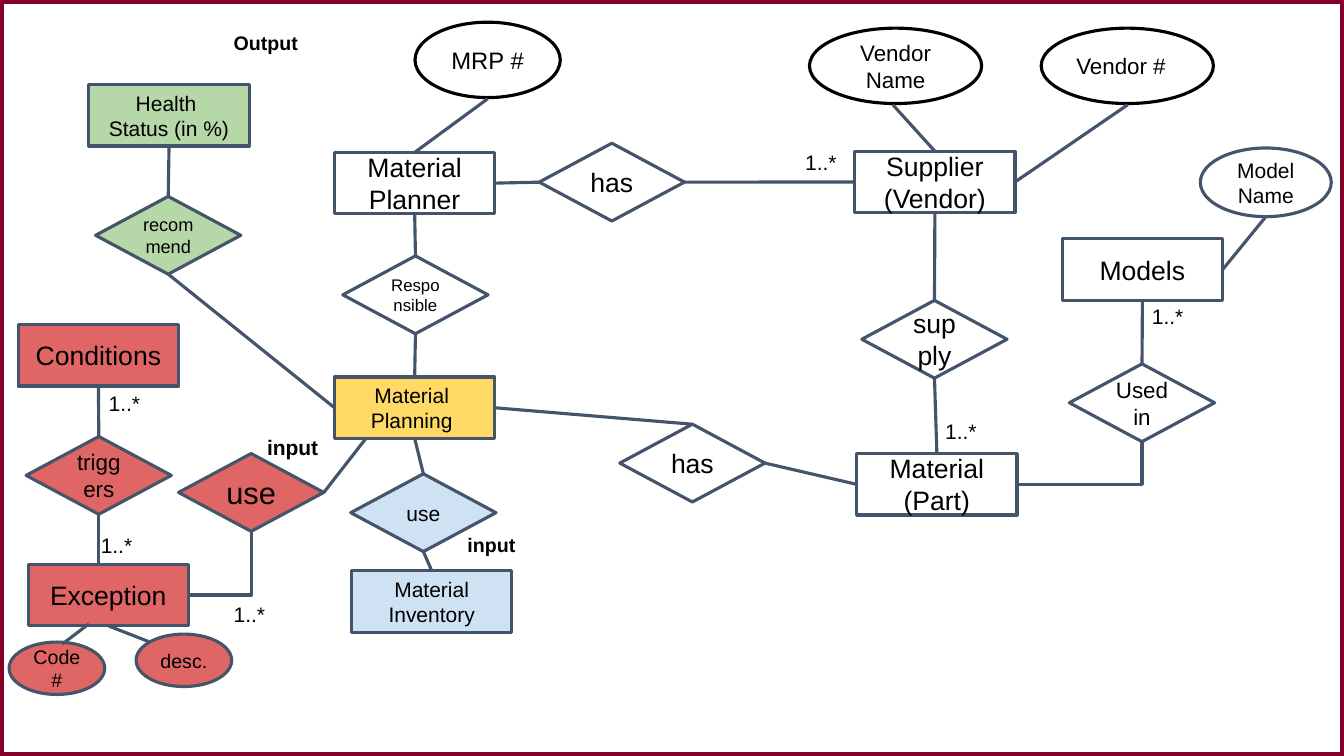
from pptx import Presentation
from pptx.dml.color import RGBColor
from pptx.enum.shapes import MSO_CONNECTOR as LINE, MSO_SHAPE as FORM
from pptx.enum.text import MSO_ANCHOR as ANCHOR, PP_ALIGN as ALIGN
from pptx.oxml.ns import qn
from pptx.util import Cm, Pt
from lxml.etree import SubElement

TOP, LEFT, BOTTOM, RIGHT = range(4)
WIDE, HIGH = 33.87, 19.05
WHITE, BLACK, SLATE, MAROON = "FFFFFF", "000000", "44546A", "830028"
RED, GREEN, BLUE, GOLD = "E06666", "B6D7A8", "CFE2F3", "FFD966"


def color(code):
    return RGBColor.from_string(code)


class Board:
    """The slide of the diagram, with its fonts and lines."""
    font = "Arial"
    inset = 0.25
    stroke = 2.25

    def __init__(self, deck):
        self.shapes = deck.slides.add_slide(deck.slide_layouts[6]).shapes

    def letter(self, shape, text, size, align, bold=False):
        """Put styled text into a shape."""
        frame = shape.text_frame
        frame.text = text
        frame.word_wrap = True
        frame.margin_left = frame.margin_right = Cm(self.inset)
        frame.margin_top = frame.margin_bottom = Cm(self.inset)
        for para in frame.paragraphs:
            para.alignment = align
            for run in para.runs:
                run.font.name = self.font
                run.font.size = Pt(size)
                run.font.bold = bold
                run.font.color.rgb = color(BLACK)

    def form(self, kind, x, y, w, h, fill, line, width):
        shape = self.shapes.add_shape(kind, Cm(x), Cm(y), Cm(w), Cm(h))
        shape.shadow.inherit = False
        if fill:
            shape.fill.solid()
            shape.fill.fore_color.rgb = color(fill)
        else:
            shape.fill.background()
        shape.line.color.rgb = color(line)
        shape.line.width = Pt(width)
        return shape

    def border(self):
        self.form(FORM.RECTANGLE, 0, 0, WIDE, HIGH, None, MAROON, 6)

    def node(self, kind, x, y, w, h, text, size, fill, line=SLATE, align=ALIGN.CENTER):
        shape = self.form(kind, x, y, w, h, fill, line, self.stroke)
        self.letter(shape, text, size, align)
        shape.text_frame.vertical_anchor = ANCHOR.MIDDLE
        return shape

    def entity(self, x, y, text, size=19, fill=WHITE):
        return self.node(FORM.RECTANGLE, x, y, 4.04, 1.55, text, size, fill)

    def verb(self, x, y, text, size=19, fill=WHITE):
        """A diamond that names a relationship."""
        return self.node(FORM.FLOWCHART_DECISION, x, y, 3.66, 1.96, text, size, fill)

    def trait(self, x, y, w, h, text, size, fill=WHITE, line=SLATE, align=ALIGN.CENTER):
        """An ellipse that names an attribute."""
        return self.node(FORM.OVAL, x, y, w, h, text, size, fill, line, align)

    def label(self, x, y, text="1..*", size=15, bold=False, w=1.8):
        box = self.shapes.add_textbox(Cm(x), Cm(y), Cm(w), Cm(1.14))
        self.letter(box, text, size, ALIGN.LEFT, bold)

    def link(self, start, end, bent=False):
        """Each end is (shape, side) or a point (x, y)."""
        kind = LINE.ELBOW if bent else LINE.STRAIGHT
        spots = [(0, 0) if hasattr(e[0], "text_frame") else e for e in (start, end)]
        wire = self.shapes.add_connector(kind, *(Cm(v) for spot in spots for v in spot))
        for spot, join in ((start, wire.begin_connect), (end, wire.end_connect)):
            if hasattr(spot[0], "text_frame"):
                join(*spot)
        wire.line.color.rgb = color(SLATE)
        wire.line.width = Pt(self.stroke)
        props = wire._element.spPr
        if bent:
            props.find(qn("a:prstGeom")).set("prst", "bentConnector2")
        SubElement(props, qn("a:effectLst"))


def main():
    deck = Presentation()
    deck.slide_width, deck.slide_height = Cm(WIDE), Cm(HIGH)
    board = Board(deck)
    board.border()

    planner = board.entity(8.43, 3.84, "Material\nPlanner")
    vendor = board.entity(21.54, 3.81, "Supplier\n(Vendor)")
    part = board.entity(21.59, 11.43, "Material\n(Part)")
    models = board.entity(26.77, 6.02, "Models")
    plan = board.entity(8.43, 9.5, "Material \nPlanning ", 15, GOLD)
    stock = board.entity(8.86, 14.38, "Material Inventory", 15, BLUE)
    fault = board.entity(0.71, 14.22, "Exception", fill=RED)
    rules = board.entity(0.46, 8.18, "Conditions", fill=RED)
    health = board.entity(2.24, 2.13, "Health \nStatus (in %)", 15, GREEN)

    has = board.verb(13.59, 3.61, "has")
    supply = board.verb(21.72, 7.57, "supply")
    used = board.verb(26.95, 9.17, "Used in", 16)
    needs = board.verb(15.62, 10.69, "has")
    duty = board.verb(8.64, 6.45, "Responsible", 12)
    draw = board.verb(8.84, 11.94, "use", 15, BLUE)
    use = board.verb(4.5, 11.43, "use", 22, RED)
    fire = board.verb(0.66, 11, "triggers", 16, RED)
    advise = board.verb(2.41, 4.95, "recommend", 13, GREEN)

    board.trait(10.46, 0.56, 3.66, 1.9, "MRP #", 17, line=BLACK)
    board.trait(26.24, 0.71, 4.34, 1.9, "Vendor #", 16, line=BLACK, align=ALIGN.LEFT)
    board.trait(20.4, 0.71, 4.34, 1.9, "Vendor Name", 16, line=BLACK)
    board.trait(30.25, 3.73, 3.3, 1.73, "Model\nName", 15)
    board.trait(0.23, 16.18, 2.41, 1.32, "Code #", 14, RED)
    board.trait(3.43, 15.98, 2.41, 1.32, "desc.", 14, RED)

    for start, end in (
        ((planner, TOP), (12.29, 2.49)),
        ((planner, RIGHT), (has, LEFT)),
        ((has, RIGHT), (vendor, LEFT)),
        ((vendor, TOP), (22.5, 2.64)),
        ((vendor, RIGHT), (28.42, 2.64)),
        ((vendor, BOTTOM), (supply, TOP)),
        ((supply, BOTTOM), (part, TOP)),
        ((models, BOTTOM), (used, TOP)),
        ((models, RIGHT), (31.9, 5.46)),
        ((planner, BOTTOM), (duty, TOP)),
        ((duty, BOTTOM), (plan, TOP)),
        ((plan, RIGHT), (needs, TOP)),
        ((needs, RIGHT), (part, LEFT)),
        ((plan, BOTTOM), (draw, TOP)),
        ((draw, BOTTOM), (stock, TOP)),
        ((9.22, 11.05), (use, RIGHT)),
        ((2.24, 15.72), (1.57, 16.23)),
        ((fault, BOTTOM), (3.78, 16.18)),
        ((rules, BOTTOM), (fire, TOP)),
        ((fire, BOTTOM), (2.49, 14.22)),
        ((health, BOTTOM), (advise, TOP)),
        ((advise, BOTTOM), (plan, LEFT)),
    ):
        board.link(start, end)
    board.link((part, RIGHT), (used, BOTTOM), bent=True)
    board.link((fault, RIGHT), (use, BOTTOM), bent=True)

    for x, y in ((20.04, 3.51), (23.57, 10.29), (28.78, 7.39),
                 (5.64, 14.91), (2.49, 9.58), (2.29, 13.16)):
        board.label(x, y)
    board.label(5.64, 0.53, "Output", 14, True, 2.31)
    board.label(11.53, 13.18, "input", 14, True)
    board.label(6.48, 10.69, "input", 15, True)

    deck.save("out.pptx")


if __name__ == "__main__":
    main()
